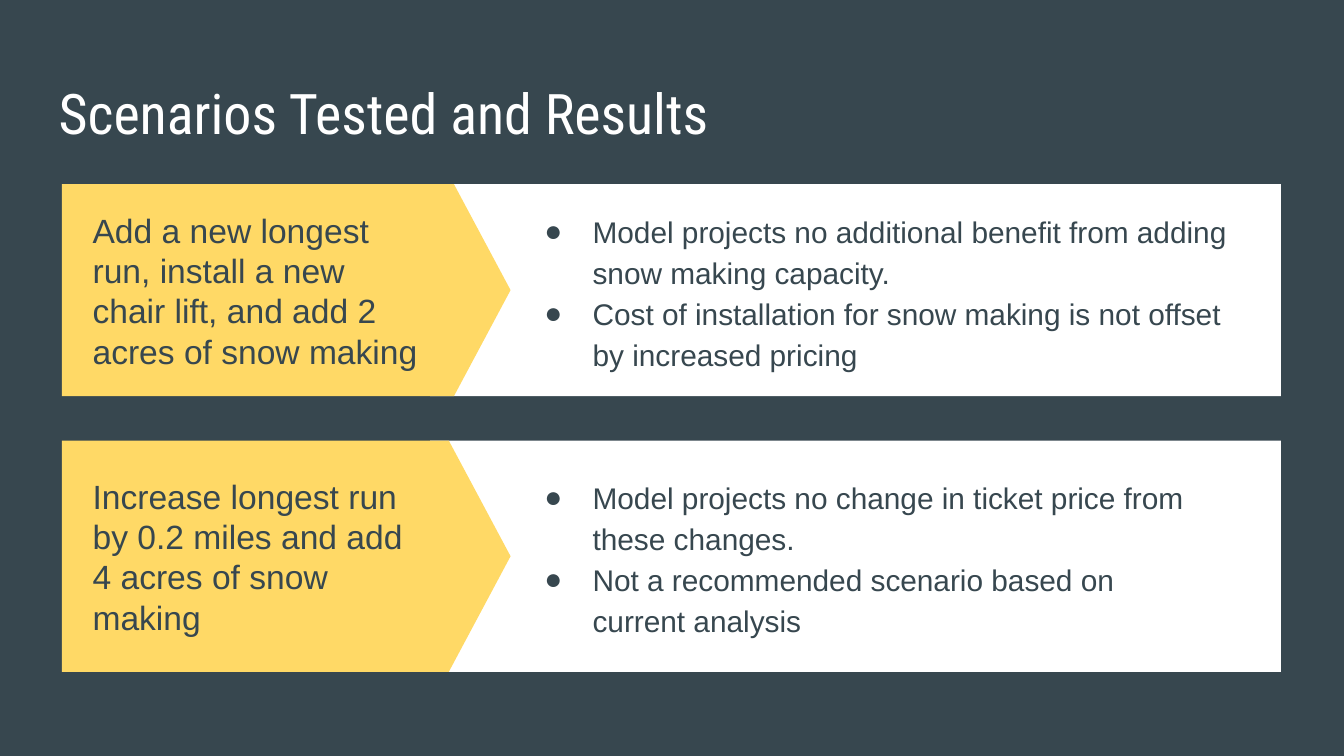
from dataclasses import dataclass

from lxml.etree import SubElement as Sub
from pptx import Presentation
from pptx.dml.color import RGBColor as Rgb
from pptx.enum.shapes import MSO_SHAPE as Kind
from pptx.enum.text import MSO_ANCHOR as Anchor, MSO_AUTO_SIZE as Fit, PP_ALIGN as Align
from pptx.oxml.ns import qn
from pptx.util import Cm, Pt

INK = {"slate": "37474F", "gold": "FFD966", "white": "FFFFFF"}


@dataclass
class Case:
    top: float
    high: float
    plan: str
    finds: list[str]


CASES = [
    Case(3.48, 4.01,
         "Add a new longest run, install a new chair lift, and add 2 acres of snow making",
         ["Model projects no additional benefit from adding snow making capacity.",
          "Cost of installation for snow making is not offset by increased pricing"]),
    Case(8.33, 4.37,
         "Increase longest run \nby 0.2 miles and add \n4 acres of snow making",
         ["Model projects no change in ticket price from \nthese changes.",
          "Not a recommended scenario based on \ncurrent analysis"]),
]


def place(shape, left: float, top: float, wide: float, high: float) -> None:
    shape.left, shape.top = Cm(left), Cm(top)
    shape.width, shape.height = Cm(wide), Cm(high)


def add_dot(para, color: str) -> None:
    """Give a paragraph a hanging round bullet."""
    props = para._p.get_or_add_pPr()
    props.set("marL", str(Cm(1.27)))
    props.set("indent", str(Cm(-0.91)))
    tint = Sub(props, qn("a:buClr"))
    Sub(tint, qn("a:srgbClr"), val=INK[color])
    Sub(props, qn("a:buChar"), char="●")


def write(shape, lines: list[str], *, size: int, color: str = "slate",
          font: str = "Arial", anchor=Anchor.MIDDLE, space: float = 1.0,
          dots: bool = False) -> None:
    frame = shape.text_frame
    frame.word_wrap, frame.auto_size = True, Fit.NONE
    frame.vertical_anchor = anchor
    frame.margin_left = frame.margin_right = Cm(0.25)
    frame.margin_top = frame.margin_bottom = Cm(0.25)
    for i, line in enumerate(lines):
        para = frame.add_paragraph() if i else frame.paragraphs[0]
        para.text = line
        para.alignment, para.line_spacing = Align.LEFT, space
        para.space_before = para.space_after = Pt(0)
        if dots:
            add_dot(para, color)
        for run in para.runs:
            run.font.name, run.font.size = font, Pt(size)
            run.font.bold = False
            run.font.color.rgb = Rgb.from_string(INK[color])


def add_panel(group, kind, color: str, left: float, wide: float, case: Case):
    shape = group.shapes.add_shape(kind, Cm(left), Cm(case.top), Cm(wide), Cm(case.high))
    shape.shadow.inherit = False
    shape.fill.solid()
    shape.fill.fore_color.rgb = Rgb.from_string(INK[color])
    shape.line.fill.background()
    return shape


def add_case(slide, case: Case, plan, finds) -> None:
    """Draw the panels of one scenario and set its two texts on them."""
    group = slide.shapes.add_group_shape()
    add_panel(group, Kind.RECTANGLE, "white", 8.13, 16.08, case)
    arrow = add_panel(group, Kind.PENTAGON, "gold", 1.17, 8.48, case)
    arrow.adjustments[0] = 0.267

    place(plan, 1.5, case.top, 6.73, case.high)
    write(plan, [case.plan], size=18)
    place(finds, 9.68, case.top, 14.2, case.high)
    write(finds, case.finds, size=16, space=1.15, dots=True)
    for text in (plan, finds):
        slide.shapes._spTree.append(text._element)  # above the panels


def main() -> None:
    deck = Presentation()
    deck.slide_width, deck.slide_height = Cm(25.4), Cm(14.29)
    slide = deck.slides.add_slide(deck.slide_layouts.get_by_name("Comparison"))
    back = slide.background.fill
    back.solid()
    back.fore_color.rgb = Rgb.from_string(INK["slate"])

    title, *texts = slide.placeholders
    place(title, 0.86, 1.24, 23.67, 1.6)
    write(title, ["Scenarios Tested and Results"], size=30, color="white",
          font="Roboto Condensed", anchor=Anchor.TOP)
    for case, plan, finds in zip(CASES, texts[::2], texts[1::2]):
        add_case(slide, case, plan, finds)
    deck.save("out.pptx")


if __name__ == "__main__":
    main()
